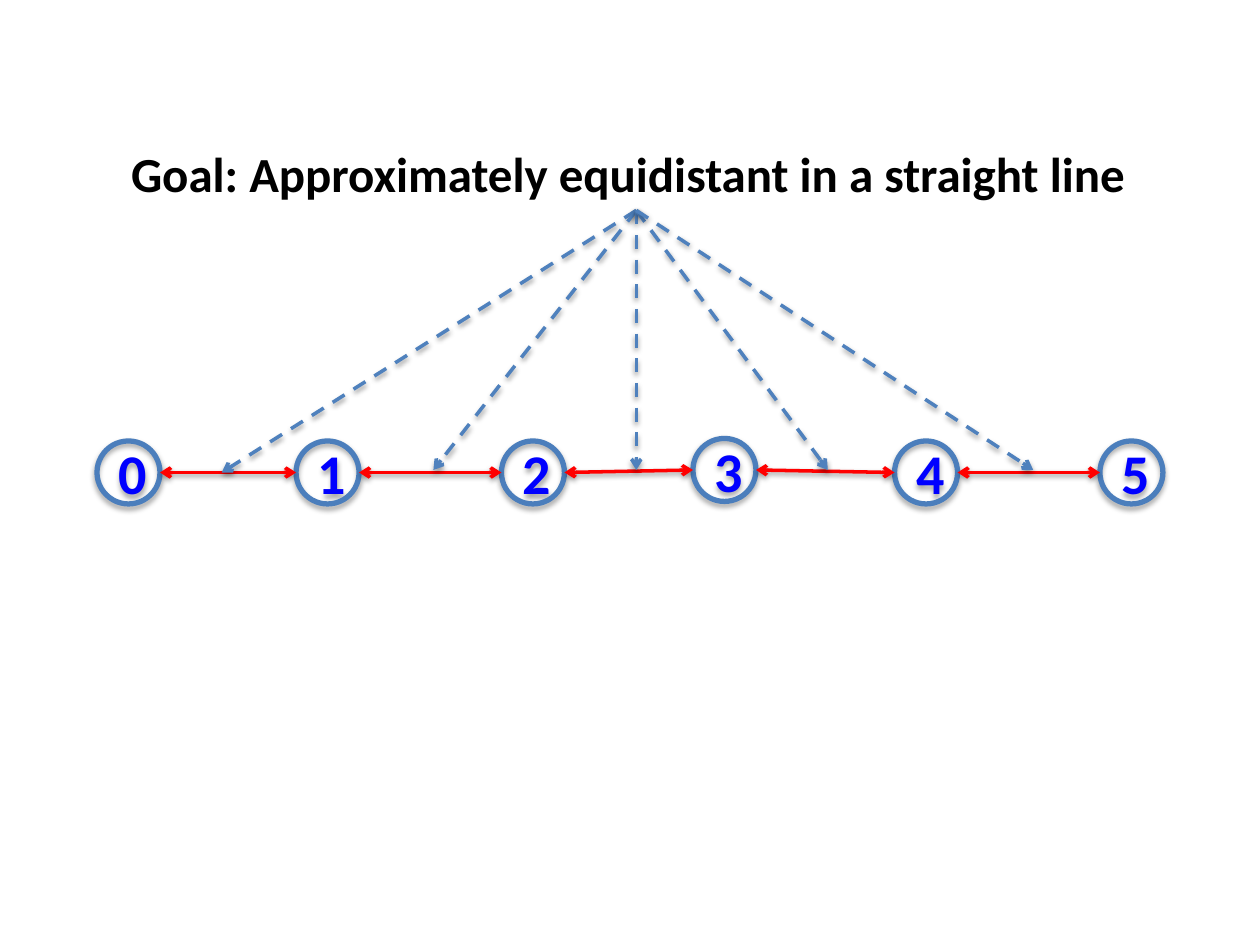
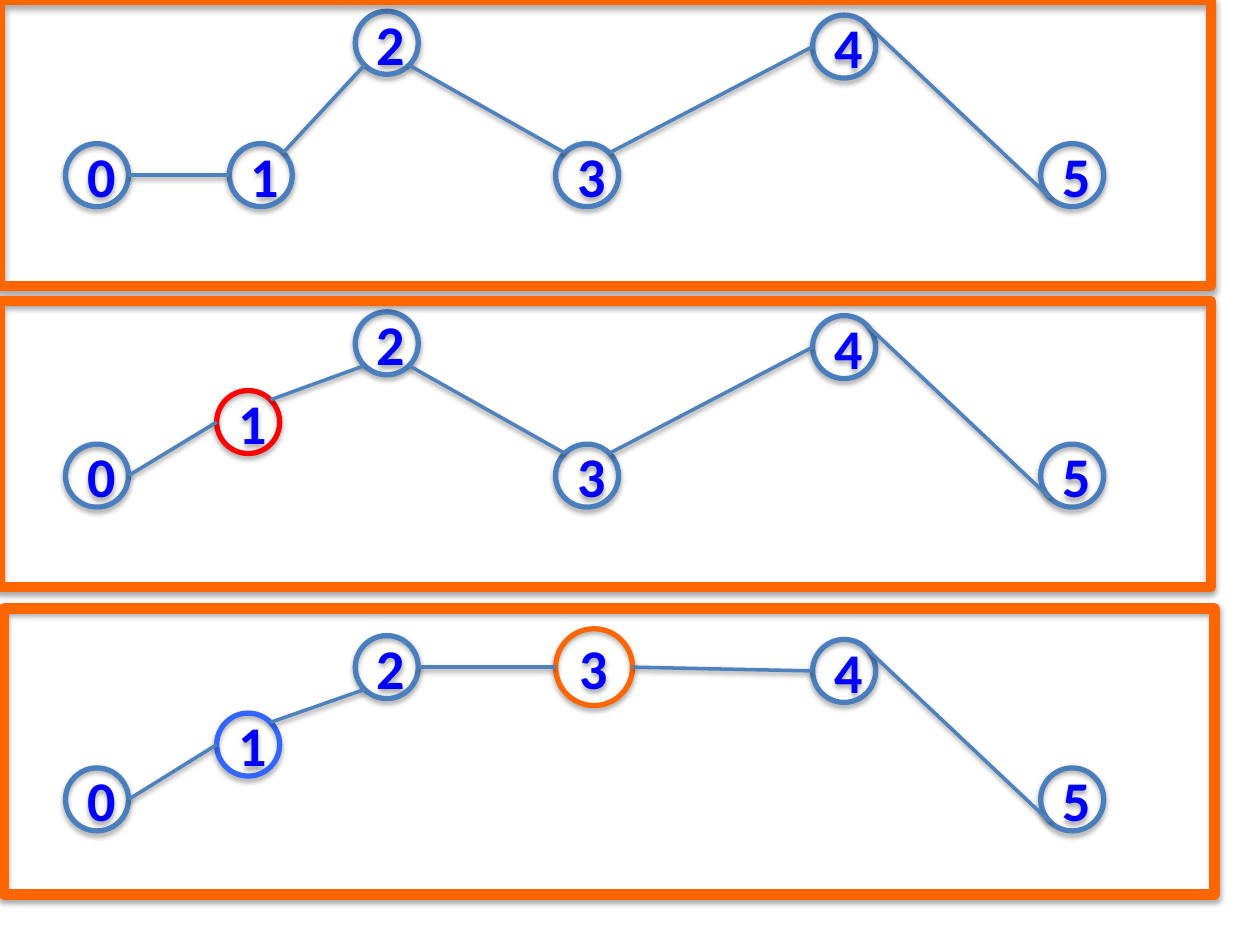
from dataclasses import dataclass
from enum import Enum
from itertools import pairwise
from math import cos, radians, sin

from lxml.etree import SubElement
from pptx import Presentation
from pptx.dml.color import RGBColor
from pptx.enum.dml import MSO_LINE_DASH_STYLE as Dash
from pptx.enum.shapes import MSO_CONNECTOR as Connector, MSO_SHAPE as Shape
from pptx.enum.text import MSO_ANCHOR as Anchor, MSO_AUTO_SIZE as AutoSize, PP_ALIGN as Align
from pptx.oxml.ns import qn
from pptx.util import Inches, Pt


@dataclass(frozen=True)
class Theme:
    font: str = "Calibri"
    title_size: int = 28
    node_size: int = 32
    title: str = "000000"
    digit: str = "0000FF"
    outline: str = "4B7EBC"
    link: str = "4F81BD"
    red: str = "FF0000"
    blue: str = "3366FF"
    orange: str = "FF6600"
    link_width: int = 2
    node_width: int = 3
    panel_width: int = 6


THEME = Theme()
WIDTH, HEIGHT = Inches(10), Inches(7.5)
COLUMNS, ROWS = 1000, 750


class Side(Enum):
    EAST = 0
    SOUTH_EAST = 45
    SOUTH_WEST = 135
    WEST = 180
    NORTH_WEST = 225
    NORTH_EAST = 315


@dataclass(frozen=True)
class Point:
    column: float
    row: float


@dataclass(frozen=True)
class Node:
    label: str
    column: float
    row: float
    color: str = THEME.outline
    size: float = 50

    def site(self, side: Side) -> Point:
        angle, radius = radians(side.value), self.size / 2
        return Point(self.column + radius * cos(angle), self.row + radius * sin(angle))

    def lowered(self, rows: float) -> "Node":
        return Node(self.label, self.column, self.row + rows, self.color, self.size)


@dataclass(frozen=True)
class Panel:
    left: float
    top: float
    drop: float
    nodes: tuple[Node, ...]
    sides: tuple[tuple[Side, Side], ...]


def across(columns: float) -> int:
    return round(WIDTH * columns / COLUMNS)


def down(rows: float) -> int:
    return round(HEIGHT * rows / ROWS)


def add_shadow(shape, distance: float, opacity: int) -> None:
    effects = SubElement(shape._element.spPr, qn("a:effectLst"))
    shadow = SubElement(effects, qn("a:outerShdw"), blurRad=str(Pt(3.1)),
                        dist=str(Pt(distance)), dir="5400000", rotWithShape="0")
    color = SubElement(shadow, qn("a:srgbClr"), val="000000")
    SubElement(color, qn("a:alpha"), val=str(opacity * 1000))


def set_line(shape, color: str, width: int) -> None:
    shape.line.color.rgb = RGBColor.from_string(color)
    shape.line.width = Pt(width)


def write(para, text: str, size: int, color: str) -> None:
    span = para.add_run()
    span.text = text
    span.font.name = THEME.font
    span.font.size = Pt(size)
    span.font.bold = True
    span.font.color.rgb = RGBColor.from_string(color)


def add_outline(page, kind: Shape, left: float, top: float, width: float, height: float,
                color: str, line_width: int):
    shape = page.shapes.add_shape(kind, across(left), down(top), across(width), down(height))
    shape.fill.background()
    set_line(shape, color, line_width)
    add_shadow(shape, 1.8, 35)
    return shape


def add_node(page, node: Node) -> None:
    half = node.size / 2
    circle = add_outline(page, Shape.OVAL, node.column - half, node.row - half,
                         node.size, node.size, node.color, THEME.node_width)
    frame = circle.text_frame
    frame.vertical_anchor = Anchor.MIDDLE
    para = frame.paragraphs[0]
    para.alignment = Align.CENTER
    write(para, node.label, THEME.node_size, THEME.digit)


def add_link(page, start: Point, end: Point, color: str = THEME.link,
             arrows: tuple[str, ...] = (), dashed: bool = False) -> None:
    link = page.shapes.add_connector(Connector.STRAIGHT, across(start.column), down(start.row),
                                     across(end.column), down(end.row))
    set_line(link, color, THEME.link_width)
    if dashed:
        link.line.dash_style = Dash.DASH
    for arrow in arrows:
        SubElement(link.line._get_or_add_ln(), qn(f"a:{arrow}"), type="arrow")
    add_shadow(link, 1.6, 38)


def add_goal(page) -> None:
    box = page.shapes.title
    box.left, box.top, box.width, box.height = across(94), down(109), across(823), down(57)
    frame = box.text_frame
    frame.word_wrap = False
    frame.auto_size = AutoSize.NONE
    frame.vertical_anchor = Anchor.TOP
    para = frame.paragraphs[0]
    para.alignment = Align.LEFT
    write(para, "Goal: Approximately equidistant in a straight line",
          THEME.title_size, THEME.title)


def build_goal_page(deck) -> None:
    page = deck.slides.add_slide(deck.slide_layouts[5])
    add_goal(page)
    centers = ((102, 375), (260, 375), (423, 375), (575, 373), (735, 375), (898, 375))
    nodes = [Node(str(index), *center) for index, center in enumerate(centers)]
    for node in nodes:
        add_node(page, node)
    for first, second in pairwise(nodes):
        add_link(page, first.site(Side.EAST), second.site(Side.WEST), THEME.red,
                 ("headEnd", "tailEnd"))
    apex = Point(505, 167)
    for column, row in ((176, 375), (344, 373), (505, 373), (657, 373), (820, 373)):
        add_link(page, apex, Point(column, row), arrows=("tailEnd",), dashed=True)


def line_panels() -> tuple[Panel, ...]:
    zero, two, three = Node("0", 77, 139), Node("2", 307, 34), Node("3", 466, 139)
    four, five = Node("4", 670, 37), Node("5", 851, 139)
    level = (Side.EAST, Side.WEST)
    rise = (Side.NORTH_EAST, Side.SOUTH_WEST)
    fall = (Side.SOUTH_EAST, Side.NORTH_WEST)
    climb = (Side.NORTH_EAST, Side.WEST)
    zigzag = (level, rise, fall, climb, rise)
    return (
        Panel(0, 0, 0, (zero, Node("1", 207, 139), two, three, four, five), zigzag),
        Panel(0, 239, 238.5,
              (zero, Node("1", 197, 96.5, THEME.red), two, three, four, five), zigzag),
        Panel(3, 483, 495.5,
              (zero, Node("1", 197, 95.5, THEME.blue), two,
               Node("3", 471.5, 34, THEME.orange, 61), four, five),
              (level, rise, level, level, rise)),
    )


def build_steps_page(deck) -> None:
    page = deck.slides.add_slide(deck.slide_layouts[6])
    panels = line_panels()
    for panel in panels:
        nodes = [node.lowered(panel.drop) for node in panel.nodes]
        for node in nodes:
            add_node(page, node)
        for (first, second), (start, end) in zip(pairwise(nodes), panel.sides):
            add_link(page, first.site(start), second.site(end))
    for panel in panels:
        add_outline(page, Shape.RECTANGLE, panel.left, panel.top, 961, 227,
                    THEME.orange, THEME.panel_width)


def main() -> None:
    deck = Presentation()
    deck.slide_width, deck.slide_height = WIDTH, HEIGHT
    build_goal_page(deck)
    build_steps_page(deck)
    deck.save("out.pptx")


if __name__ == "__main__":
    main()
